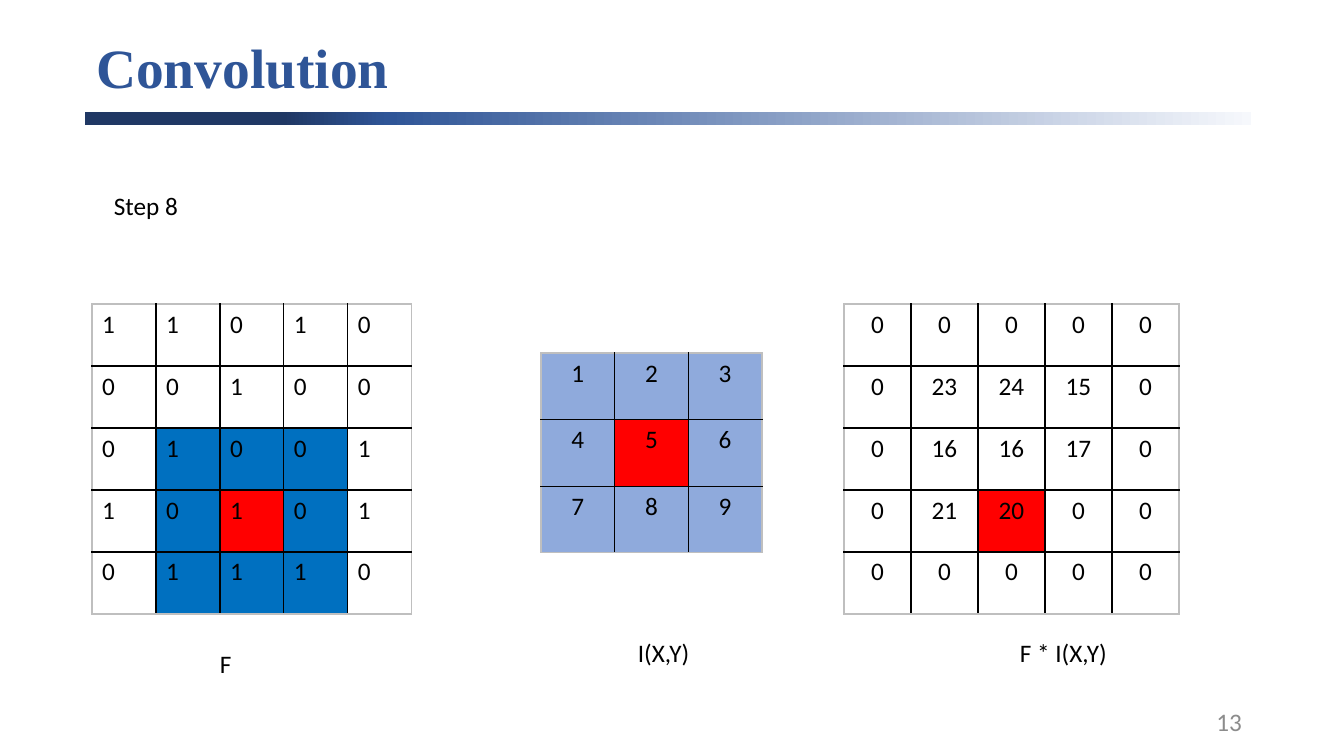
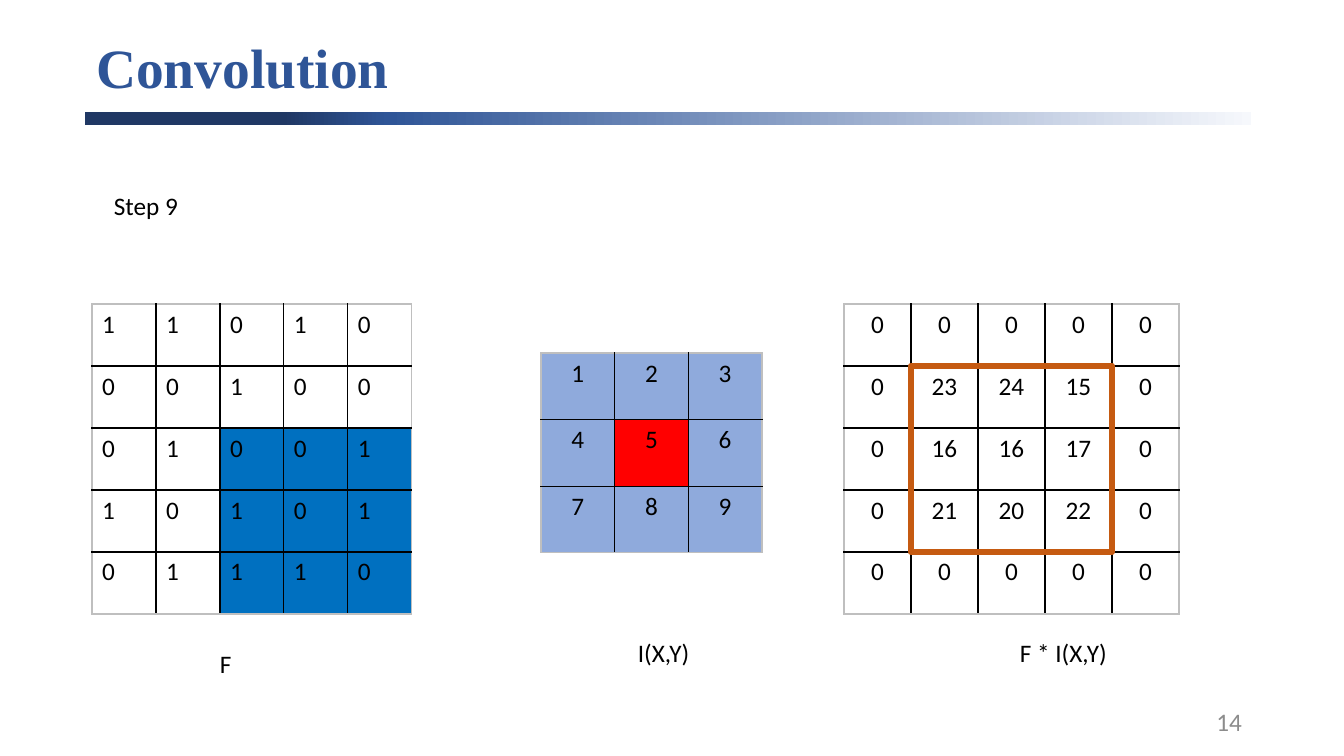
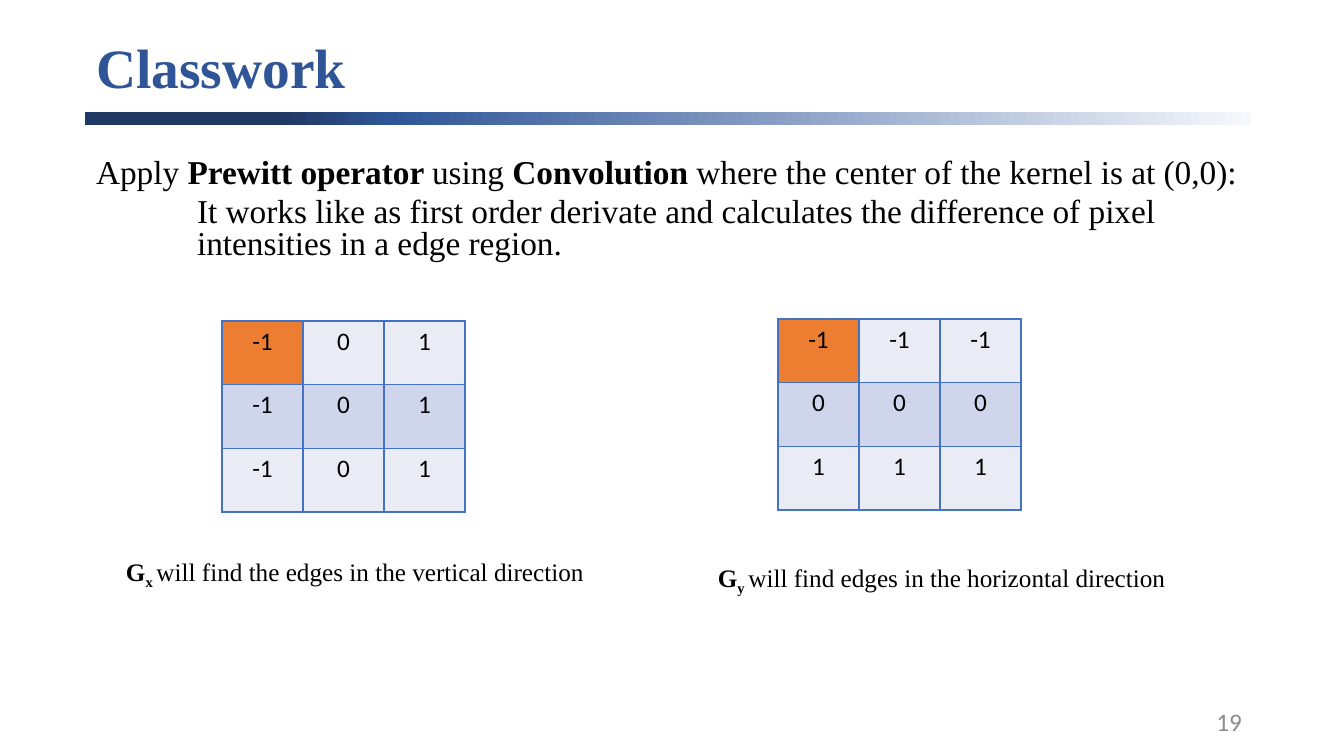
from lxml.etree import SubElement
from pptx import Presentation
from pptx.dml.color import RGBColor
from pptx.enum.shapes import MSO_SHAPE
from pptx.enum.text import MSO_ANCHOR, MSO_AUTO_SIZE, PP_ALIGN
from pptx.oxml.ns import qn
from pptx.util import Emu, Pt

EMU_PER_PX = 12192000 / 1344
SERIF, SANS = "Times New Roman", "Calibri"
BLACK, GREY, PAGE_GREY = "000000", "BFBFBF", "8C8C8C"
TITLE_BLUE, BLUE, PALE_BLUE, RED = "2F5597", "0070C0", "8FAADC", "FF0000"
ORANGE, FRAME_ORANGE, GRID_BLUE = "ED7D31", "C55A11", "4472C4"
STRIPES = ("E9EBF5", "CFD5EA")
BAND_STOPS = ((0, "F6F8FC"), (74, TITLE_BLUE), (83, "203864"), (100, "203864"))

TITLE_BOX = (86, 36, 1159, 70)
BAND_BOX = (85, 112, 1166, 13)
PAGE_BOX = (950, 701, 302, 40)
BODY_BOX = (86, 154, 1181, 119)
IMAGE_BOX = (92, 304, 320, 310)
KERNEL_BOX = (541, 353, 221, 200)
RESULT_BOX = (844, 304, 335, 310)

IMAGE = ((1, 1, 0, 1, 0), (0, 0, 1, 0, 0), (0, 1, 0, 0, 1), (1, 0, 1, 0, 1), (0, 1, 1, 1, 0))
KERNEL = ((1, 2, 3), (4, 5, 6), (7, 8, 9))
PREWITT_X = ((-1, 0, 1),) * 3
PREWITT_Y = ((-1,) * 3, (0,) * 3, (1,) * 3)


def px(length):
    """Turn pixels into EMU."""
    return Emu(round(length * EMU_PER_PX))


def emu_box(box):
    """Turn a pixel box into EMU lengths."""
    return [px(length) for length in box]


def rgb(color):
    """Turn a hex string into a colour."""
    return RGBColor.from_string(color)


def write(paragraph, text, size=18, font=SANS, color=BLACK, bold=False, baseline=0, align=None):
    """Add one formatted run to a paragraph."""
    run = paragraph.add_run()
    run.text = text
    run.font.size, run.font.name, run.font.bold = Pt(size), font, bold
    run.font.color.rgb = rgb(color)
    if baseline:
        run._r.get_or_add_rPr().set("baseline", str(baseline * 1000))
    if align is not None:
        paragraph.alignment = align


def place(placeholder, box, anchor):
    """Move a placeholder to a box and return its text frame."""
    placeholder.left, placeholder.top, placeholder.width, placeholder.height = emu_box(box)
    frame = placeholder.text_frame
    frame.auto_size, frame.vertical_anchor, frame.word_wrap = MSO_AUTO_SIZE.NONE, anchor, True
    return frame


def add_label(slide, box, wrap=False, anchor=MSO_ANCHOR.TOP):
    """Add a text box and return its first paragraph."""
    frame = slide.shapes.add_textbox(*emu_box(box)).text_frame
    frame.word_wrap, frame.vertical_anchor = wrap, anchor
    return frame.paragraphs[0]


def add_band(prs, slide):
    """Draw the gradient band and hand it to the slide master."""
    band = slide.shapes.add_shape(MSO_SHAPE.RECTANGLE, *emu_box(BAND_BOX))
    band.shadow.inherit = False
    band.line.fill.background()
    band.fill.gradient()
    band.fill.gradient_angle = 180
    stops = band.element.find(".//" + qn("a:gsLst"))
    for stop in list(stops):
        stops.remove(stop)
    for percent, color in BAND_STOPS:
        stop = SubElement(stops, qn("a:gs"), pos=str(percent * 1000))
        SubElement(stop, qn("a:srgbClr"), val=color)
    prs.slide_master.shapes.element.append(band.element)


def add_page(prs, layout, title, number):
    """Add a slide with its title and page number."""
    slide = prs.slides.add_slide(prs.slide_layouts[layout])
    heading = place(slide.shapes.title, TITLE_BOX, MSO_ANCHOR.MIDDLE).paragraphs[0]
    heading.line_spacing = 0.9
    write(heading, title, size=39.6, font=SERIF, color=TITLE_BLUE, bold=True, align=PP_ALIGN.LEFT)
    page = add_label(slide, PAGE_BOX, wrap=True, anchor=MSO_ANCHOR.MIDDLE)
    write(page, str(number), color=PAGE_GREY, align=PP_ALIGN.RIGHT)
    return slide


def set_border(cell, side, color):
    """Draw one side of a cell."""
    edge = SubElement(cell._tc.get_or_add_tcPr(), qn("a:ln" + side), w="12700")
    SubElement(SubElement(edge, qn("a:solidFill")), qn("a:srgbClr"), val=color)


def add_matrix(slide, box, values, fill_at, inner=BLACK, outer=GREY, align=PP_ALIGN.CENTER):
    """Draw a matrix as a table of equal cells that fills the box."""
    row_count, column_count = len(values), len(values[0])
    matrix = slide.shapes.add_table(row_count, column_count, *emu_box(box)).table
    matrix.first_row = matrix.horz_banding = False
    for column in matrix.columns:
        column.width = px(box[2] / column_count)
    for row in matrix.rows:
        row.height = px(box[3] / row_count)
    for r, row_values in enumerate(values):
        for c, value in enumerate(row_values):
            cell = matrix.cell(r, c)
            write(cell.text_frame.paragraphs[0], str(value), align=align)
            on_edge = {"L": c == 0, "R": c == column_count - 1, "T": r == 0, "B": r == row_count - 1}
            for side, is_outer in on_edge.items():
                set_border(cell, side, outer if is_outer else inner)
            color = fill_at(r, c)
            if color:
                cell.fill.solid()
                cell.fill.fore_color.rgb = rgb(color)
            else:
                cell.fill.background()


def add_result_frame(slide, box):
    """Frame the inner three by three cells of a five by five matrix."""
    left, top, width, height = box
    inner = (left + width / 5, top + height / 5, width * 3 / 5, height * 3 / 5)
    frame = slide.shapes.add_shape(MSO_SHAPE.RECTANGLE, *emu_box(inner))
    frame.shadow.inherit = False
    frame.fill.background()
    frame.line.color.rgb, frame.line.width = rgb(FRAME_ORANGE), Pt(4.5)


def add_step(prs, number, page, center, last_value, is_final=False):
    """Build a convolution step with the window around its center."""
    slide = add_page(prs, 5, "Convolution", page)

    def window_fill(r, c):
        """Colour the window and its center."""
        if (r, c) == center and not is_final:
            return RED
        return BLUE if max(abs(r - center[0]), abs(c - center[1])) <= 1 else None

    def result_fill(r, c):
        """Mark the value found in this step."""
        return RED if (r, c) == center and not is_final else None

    def kernel_fill(r, c):
        """Mark the kernel center."""
        return RED if (r, c) == (1, 1) else PALE_BLUE

    border = (0,) * 5
    result = (border, (0, 23, 24, 15, 0), (0, 16, 16, 17, 0), (0, 21, 20, last_value, 0), border)
    add_matrix(slide, IMAGE_BOX, IMAGE, window_fill, align=PP_ALIGN.LEFT)
    add_matrix(slide, KERNEL_BOX, KERNEL, kernel_fill)
    add_matrix(slide, RESULT_BOX, result, result_fill)
    if is_final:
        add_result_frame(slide, RESULT_BOX)
    for text, box in (
        (f"Step {number}", (104, 185, 85, 40)),
        ("F", (210, 643, 32, 40)),
        ("I(X,Y)", (628, 632, 73, 40)),
        ("F * I(X,Y)", (1010, 632, 109, 40)),
    ):
        write(add_label(slide, box), text)
    return slide


def add_task(slide):
    """Fill the body with the task and its explanation."""
    frame = place(slide.placeholders[1], BODY_BOX, MSO_ANCHOR.TOP)
    task, explanation = frame.paragraphs[0], frame.add_paragraph()
    explanation.level = 2
    for paragraph, indent, space in ((task, 0, 10), (explanation, 101, 5)):
        paragraph.line_spacing, paragraph.space_before = 0.8, Pt(space)
        properties = paragraph._p.get_or_add_pPr()
        properties.set("marL", str(px(indent)))
        properties.set("indent", "0")
        SubElement(properties, qn("a:buNone"))
    for text, bold in (
        ("Apply ", False),
        ("Prewitt operator ", True),
        ("using ", False),
        ("Convolution ", True),
        ("where the center of the kernel is at (0,0):", False),
    ):
        write(task, text, size=23.8, font=SERIF, bold=bold)
    write(
        explanation,
        "It works like as first order derivate and calculates the difference of pixel "
        "intensities in a edge region.",
        size=23.8,
        font=SERIF,
    )


def add_gradient(slide, matrix_box, values, caption_box, axis, meaning):
    """Add a Prewitt kernel and its caption."""

    def striped_fill(r, c):
        """Mark the origin and stripe the rows."""
        return ORANGE if r == c == 0 else STRIPES[r % 2]

    add_matrix(slide, matrix_box, values, striped_fill, inner=GRID_BLUE, outer=GRID_BLUE)
    caption = add_label(slide, caption_box, wrap=True)
    write(caption, "G", font=SERIF, bold=True)
    write(caption, f"{axis} ", font=SERIF, bold=True, baseline=-25)
    write(caption, meaning, font=SERIF)


def add_classwork(prs):
    """Build the classwork slide."""
    slide = add_page(prs, 1, "Classwork", 19)
    add_task(slide)
    add_gradient(slide, (222, 321, 243, 191), PREWITT_X, (116, 551, 520, 40),
                 "x", "will find the edges in the vertical direction")
    add_gradient(slide, (778, 319, 243, 191), PREWITT_Y, (708, 557, 481, 40),
                 "y", "will find edges in the horizontal direction")


def main():
    """Build and save the presentation."""
    prs = Presentation()
    prs.slide_width, prs.slide_height = px(1344), px(756)
    first_slide = add_step(prs, 8, 13, (3, 2), 0)
    add_band(prs, first_slide)
    add_step(prs, 9, 14, (3, 3), 22, is_final=True)
    add_classwork(prs)
    prs.save("out.pptx")


if __name__ == "__main__":
    main()
